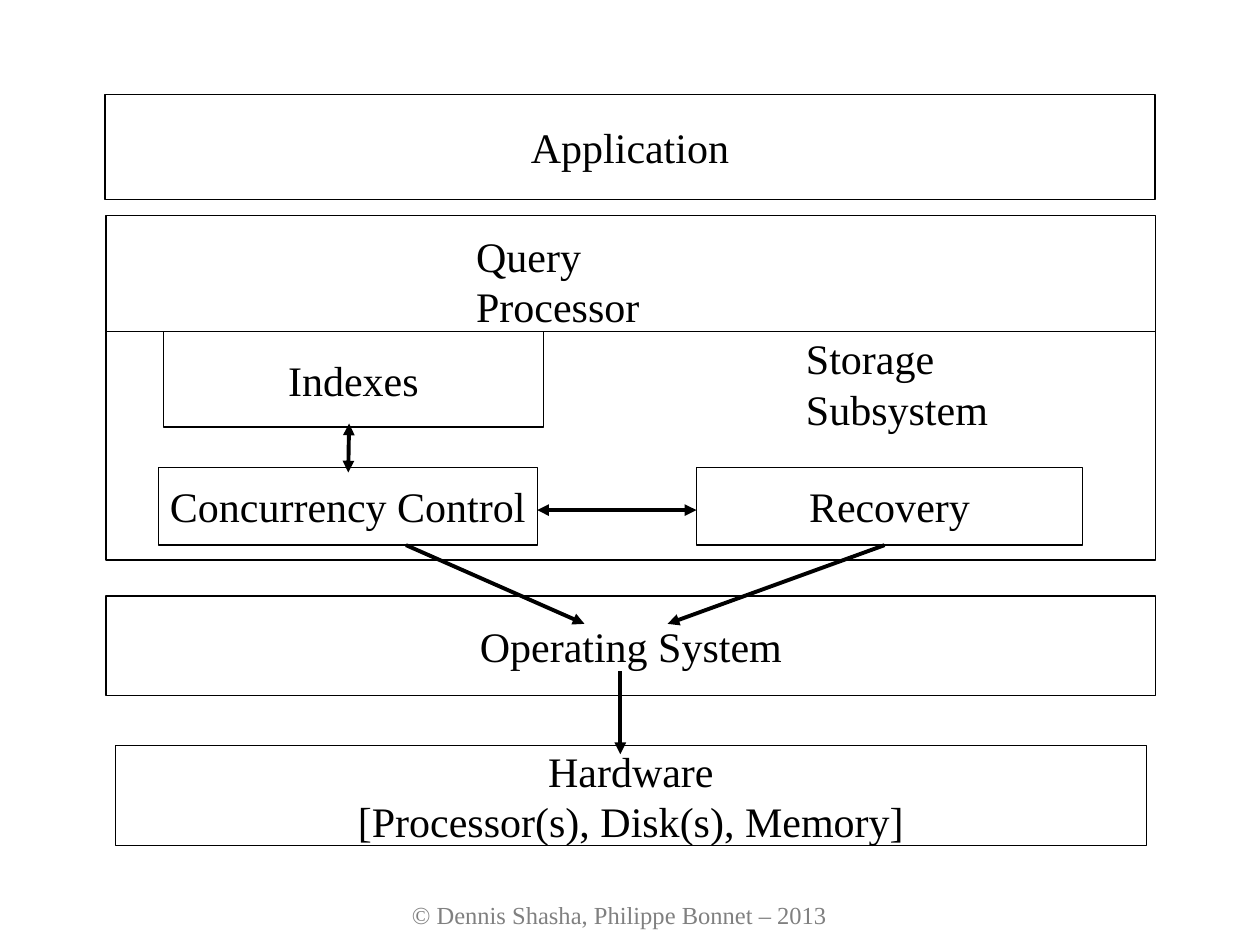
from lxml import etree
from pptx import Presentation
from pptx.dml.color import RGBColor
from pptx.enum.dml import MSO_LINE
from pptx.enum.shapes import MSO_CONNECTOR, MSO_SHAPE
from pptx.enum.text import MSO_ANCHOR, PP_ALIGN
from pptx.oxml.ns import qn
from pptx.util import Pt

RECTANGLE = MSO_SHAPE.RECTANGLE
STRAIGHT = MSO_CONNECTOR.STRAIGHT
DOTTED = MSO_LINE.ROUND_DOT
MIDDLE = MSO_ANCHOR.MIDDLE
LEFT, CENTER = PP_ALIGN.LEFT, PP_ALIGN.CENTER

BLACK, WHITE, GREY = "000000", "FFFFFF", "808080"
FRAME_FORMAT = {
    "word_wrap": False,
    "vertical_anchor": MIDDLE,
    "margin_top": 0,
    "margin_bottom": 0,
}
LAYER_LEFT, LAYER_WIDTH = 60.5, 600
STORAGE_TOP = 189.5
MANAGER_TOP, MANAGER_HEIGHT = 267, 44.5
MANAGER_BOTTOM = MANAGER_TOP + MANAGER_HEIGHT


def apply_format(target, values):
    for name, value in values.items():
        setattr(target, name, value)


def paint(color_format, color):
    color_format.rgb = RGBColor.from_string(color)


def write(element, text, size=24, color=BLACK, align=CENTER):
    apply_format(element.text_frame, FRAME_FORMAT)
    paragraph = element.text_frame.paragraphs[0]
    paragraph.text = text
    paragraph.alignment = align
    for run in paragraph.runs:
        apply_format(run.font, {"name": "Times New Roman", "size": Pt(size)})
        paint(run.font.color, color)


def add_component(slide, bounds, text="", fill=None):
    component = slide.shapes.add_shape(RECTANGLE, *map(Pt, bounds))
    component.shadow.inherit = False
    if fill:
        component.fill.solid()
        paint(component.fill.fore_color, fill)
    else:
        component.fill.background()
    paint(component.line.color, BLACK)
    component.line.width = Pt(0.75)
    if text:
        write(component, text)


def add_label(slide, bounds, text, **style):
    write(slide.shapes.add_textbox(*map(Pt, bounds)), text, **style)


def add_link(slide, ends, width=2.25, arrows=(), dash=None):
    link = slide.shapes.add_connector(STRAIGHT, *map(Pt, ends))
    apply_format(link.line, {"width": Pt(width), "dash_style": dash})
    paint(link.line.color, BLACK)
    properties = link.line._get_or_add_ln()
    for end in arrows:
        etree.SubElement(properties, qn(f"a:{end}"), type="triangle")
    etree.SubElement(properties.getparent(), qn("a:effectLst"))


def main():
    presentation = Presentation()
    apply_format(presentation, {"slide_width": Pt(720), "slide_height": Pt(540)})
    slide = presentation.slides.add_slide(presentation.slide_layouts[6])
    one_way, two_way = ["tailEnd"], ["headEnd", "tailEnd"]

    add_label(slide, (228, 510, 252, 25),
              "© Dennis Shasha, Philippe Bonnet – 2013", size=14, color=GREY)

    add_component(slide, (66, 426, 589, 57),
                  "Hardware\n[Processor(s), Disk(s), Memory]")
    add_component(slide, (LAYER_LEFT, 340.5, LAYER_WIDTH, 57), "Operating System")

    for left, width, manager in [
        (90.5, 216.5, "Concurrency Control"),
        (398, 220.5, "Recovery"),
    ]:
        add_component(slide, (left, MANAGER_TOP, width, MANAGER_HEIGHT), manager)
    add_link(slide, (307, 291.5, 398, 291.5), arrows=two_way)
    for start, end in [(232, 334), (505.5, 381.5)]:
        add_link(slide, (start, MANAGER_BOTTOM, end, 356.5), arrows=one_way)

    add_component(slide, (LAYER_LEFT, STORAGE_TOP, LAYER_WIDTH, 130.5))
    add_label(slide, (453.5, 205, 197, 28), "Storage Subsystem", align=LEFT)
    add_link(slide, (354.5, 383.5, 354.5, 431), arrows=one_way)

    add_component(slide, (LAYER_LEFT, 123, LAYER_WIDTH, 66.5))
    add_component(slide, (93.5, STORAGE_TOP, 217, 54.5), "Indexes", fill=WHITE)
    add_link(slide, (199.5, 242, 199, 270), arrows=two_way)
    add_label(slide, (265, 142.5, 172, 36), "Query Processor", align=LEFT)
    add_link(slide, (93.5, STORAGE_TOP, 315.5, STORAGE_TOP), width=0.75, dash=DOTTED)

    add_component(slide, (60, 54, LAYER_WIDTH, 60), "Application")

    presentation.save("out.pptx")


if __name__ == "__main__":
    main()
